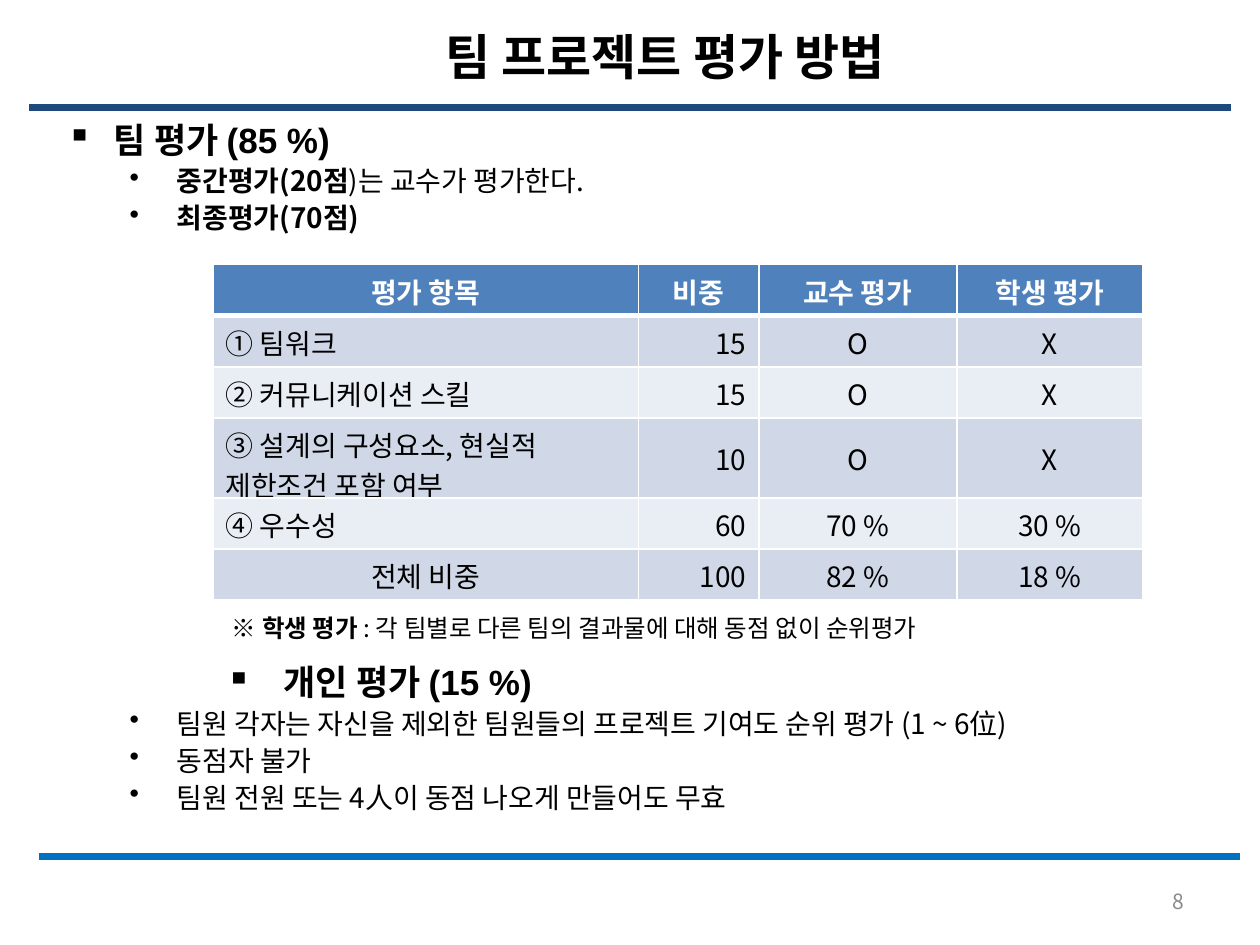
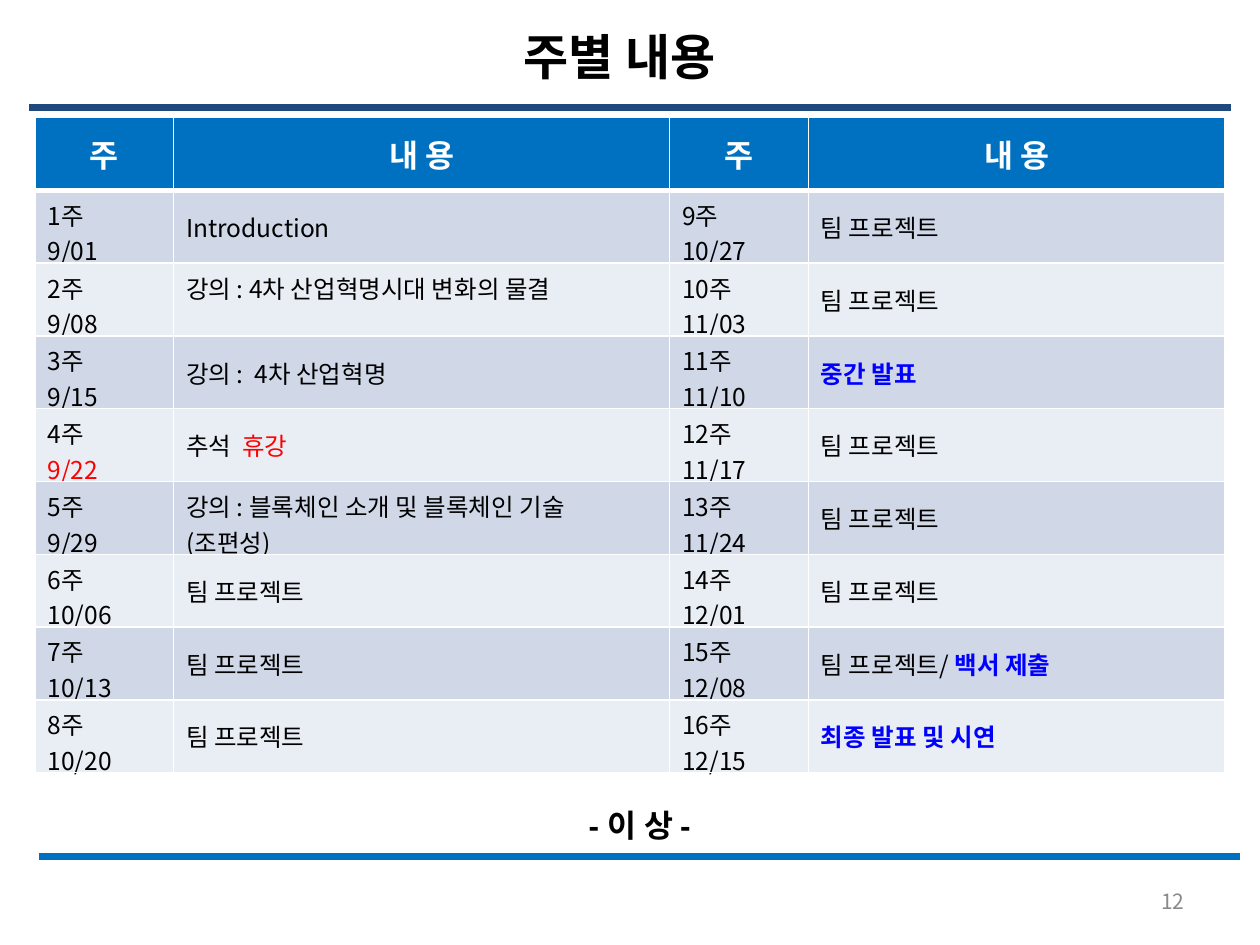
from lxml import etree
from pptx import Presentation
from pptx.dml.color import RGBColor
from pptx.enum.shapes import MSO_CONNECTOR
from pptx.enum.text import MSO_ANCHOR, PP_ALIGN
from pptx.oxml.ns import qn
from pptx.util import Pt

LEFT, CENTER, RIGHT = PP_ALIGN.LEFT, PP_ALIGN.CENTER, PP_ALIGN.RIGHT
TOP, MIDDLE = MSO_ANCHOR.TOP, MSO_ANCHOR.MIDDLE
STRAIGHT = MSO_CONNECTOR.STRAIGHT

ARIAL, NOTO = "Arial", "Noto Sans CJK KR"
BLACK, WHITE, GRAY = "000000", "FFFFFF", "898989"
NAVY, BLUE, HEADER_BLUE = "1F497D", "0070C0", "4F81BD"
BAND_COLORS = ("D0D8E8", "E9EDF4")
RED, BRIGHT_BLUE = "FF0000", "0000FF"

TEAM_TABLE = [
    ("평가 항목", "비중", "교수 평가", "학생 평가"),
    ("① 팀워크", "15", "O", "X"),
    ("② 커뮤니케이션 스킬", "15", "O", "X"),
    ("③ 설계의 구성요소, 현실적 제한조건 포함 여부", "10", "O", "X"),
    ("④ 우수성", "60", "70 %", "30 %"),
    ("전체 비중", "100", "82 %", "18 %"),
]

PROJECT = "팀 프로젝트"


def highlight(text):
    return (text, BRIGHT_BLUE, True)


# Each week: date, then the paragraphs of its content
WEEKS = [
    ("9/01", ["Introduction"]),
    ("9/08", ["강의 : 4차 산업혁명시대 변화의 물결"]),
    ("9/15", ["강의 :  4차 산업혁명"]),
    ([("9/22", RED, False)], [["추석  ", ("휴강", RED, False)]]),
    ("9/29", ["강의 : 블록체인 소개 및 블록체인 기술", "(조편성)"]),
    ("10/06", [PROJECT]),
    ("10/13", [PROJECT]),
    ("10/20", [PROJECT]),
    ("10/27", [PROJECT]),
    ("11/03", [PROJECT]),
    ("11/10", [[highlight("중간 발표")]]),
    ("11/17", [PROJECT]),
    ("11/24", [PROJECT]),
    ("12/01", [PROJECT]),
    ("12/08", [[PROJECT + "/ ", highlight("백서 제출")]]),
    ("12/15", [[highlight("최종 발표 및 시연")]]),
]


def rgb(color):
    return RGBColor.from_string(color)


def write_paragraph(paragraph, runs, size, font=NOTO, color=BLACK, bold=False,
                    align=LEFT, space_after=0):
    """Fill a paragraph from a string, or from strings and (text, color, bold) runs."""
    paragraph.alignment = align
    paragraph.space_after = Pt(space_after)
    paragraph.font.size = Pt(size)
    paragraph.font.bold = bold
    paragraph.font.color.rgb = rgb(color)
    paragraph.font.name = font
    defaults = paragraph._p.pPr.find(qn("a:defRPr"))
    etree.SubElement(defaults, qn("a:ea")).set("typeface", NOTO)
    for part in [runs] if isinstance(runs, str) else runs:
        run = paragraph.add_run()
        if isinstance(part, str):
            run.text = part
        else:
            run.text, run_color, run.font.bold = part
            run.font.color.rgb = rgb(run_color)


def write_paragraphs(text_frame, paragraphs, **style):
    for index, runs in enumerate(paragraphs):
        paragraph = text_frame.add_paragraph() if index else text_frame.paragraphs[0]
        write_paragraph(paragraph, runs, **style)


def add_text_frame(slide, left, top, width, height, anchor=TOP):
    text_frame = slide.shapes.add_textbox(
        Pt(left), Pt(top), Pt(width), Pt(height)).text_frame
    text_frame.word_wrap = True
    text_frame.vertical_anchor = anchor
    return text_frame


def set_bullet(paragraph, character, margin, hanging):
    properties = paragraph._p.get_or_add_pPr()
    properties.set("marL", str(Pt(margin)))
    properties.set("indent", str(-Pt(hanging)))
    bullet = etree.Element(qn("a:buChar"), char=character)
    properties.find(qn("a:defRPr")).addprevious(bullet)


def add_rule(slide, left, right, y, color):
    rule = slide.shapes.add_connector(STRAIGHT, Pt(left), Pt(y), Pt(right), Pt(y))
    rule.line.color.rgb = rgb(color)
    rule.line.width = Pt(4)
    etree.SubElement(rule._element.spPr, qn("a:effectLst"))


def add_frame(presentation, title, title_center, number):
    """Add a slide with its title, two rules and slide number."""
    slide = presentation.slides.add_slide(presentation.slide_layouts[6])
    add_rule(slide, 16.8, 703.2, 61.7, NAVY)
    add_rule(slide, 22.5, 708.7, 489.4, BLUE)
    number_frame = add_text_frame(slide, 516, 500.5, 168, 28.75, MIDDLE)
    write_paragraph(number_frame.paragraphs[0], number, 12, color=GRAY, align=RIGHT)
    title_width = 311
    title_frame = add_text_frame(
        slide, title_center - title_width / 2, 11.5, title_width, 41)
    write_paragraph(title_frame.paragraphs[0], title, 28, ARIAL, bold=True, align=CENTER)
    return slide


def set_borders(cell, bottom_width, top_width):
    properties = cell._tc.get_or_add_tcPr()
    widths = {"L": 1, "R": 1, "T": top_width, "B": bottom_width}
    for index, (side, width) in enumerate(widths.items()):
        border = etree.Element(qn(f"a:ln{side}"), w=str(Pt(width)))
        fill = etree.SubElement(border, qn("a:solidFill"))
        etree.SubElement(fill, qn("a:srgbClr"), val=WHITE)
        properties.insert(index, border)


def add_grid(slide, left, top, column_widths, row_heights, header_color):
    """Add a banded table without text and return it."""
    table = slide.shapes.add_table(
        len(row_heights), len(column_widths), Pt(left), Pt(top),
        Pt(sum(column_widths)), Pt(sum(row_heights))).table
    table.first_row = table.horz_banding = False
    for column, width in zip(table.columns, column_widths):
        column.width = Pt(width)
    for row_index, (row, height) in enumerate(zip(table.rows, row_heights)):
        row.height = Pt(height)
        color = BAND_COLORS[(row_index - 1) % 2] if row_index else header_color
        for cell in row.cells:
            cell.fill.solid()
            cell.fill.fore_color.rgb = rgb(color)
            set_borders(cell, 1 if row_index else 3, 3 if row_index == 1 else 1)
    return table


def add_team_table(slide, left, top):
    row_heights = [29.2, 29.2, 29.2, 45.7, 29.2, 29.2]
    table = add_grid(slide, left, top, [243, 69, 113, 106.5], row_heights, HEADER_BLUE)
    last_row = len(TEAM_TABLE) - 1
    for row, texts in enumerate(TEAM_TABLE):
        for column, text in enumerate(texts):
            cell = table.cell(row, column)
            if row and column:
                cell.vertical_anchor = MIDDLE
            align = CENTER
            if row and column == 1:
                align = RIGHT
            elif 0 < row < last_row and column == 0:
                align = LEFT
            write_paragraph(cell.text_frame.paragraphs[0], text, 16, align=align,
                            color=BLACK if row else WHITE, bold=row == 0)


def add_section(slide, left, top, height, heading, items, margin, hanging):
    """Add a square-bulleted heading with dotted items below it."""
    text_frame = add_text_frame(slide, left, top, 663, height)
    paragraph = text_frame.paragraphs[0]
    write_paragraph(paragraph, heading, 20, ARIAL, bold=True, space_after=2)
    set_bullet(paragraph, "▪", margin, hanging)
    for item in items:
        paragraph = text_frame.add_paragraph()
        write_paragraph(paragraph, item, 16, space_after=2)
        set_bullet(paragraph, "•", 63, 27)


def add_evaluation_slide(presentation):
    slide = add_frame(presentation, "팀 프로젝트 평가 방법", 380, "8")
    add_section(slide, 31, 64, 88, "팀 평가 (85 %)", [
        [("중간평가(20점", BLACK, True), ")는 교수가 평가한다."],
        [("최종평가(70점)", BLACK, True)],
    ], 27, 27)
    add_team_table(slide, 121.75, 151.2)
    note = add_text_frame(slide, 125.5, 347, 540, 27.5)
    write_paragraph(note.paragraphs[0], [
        "※ ", ("학생 평가 ", BLACK, True), ": 각 팀별로 다른 팀의 결과물에 대해 동점 없이 순위평가",
    ], 14)
    add_section(slide, 31, 374, 113, "개인 평가 (15 %)", [
        "팀원 각자는 자신을 제외한 팀원들의 프로젝트 기여도 순위 평가 (1 ~ 6位)",
        "동점자 불가",
        "팀원 전원 또는 4人이 동점 나오게 만들어도 무효",
    ], 124, 33)


def add_week_table(slide, left, top):
    half = len(WEEKS) // 2
    table = add_grid(slide, left, top, [79.2, 283.5, 79.2, 238.2],
                     [41.6] * (half + 1), BLUE)
    for column, text in enumerate(("주", "내 용") * 2):
        cell = table.cell(0, column)
        cell.vertical_anchor = MIDDLE
        write_paragraph(cell.text_frame.paragraphs[0], text, 18, color=WHITE,
                        bold=True, align=CENTER)
    for index, (date, content) in enumerate(WEEKS):
        row, column = index % half + 1, index // half * 2
        week_cell, content_cell = table.cell(row, column), table.cell(row, column + 1)
        write_paragraphs(week_cell.text_frame, [f"{index + 1}주", date], size=14)
        write_paragraphs(content_cell.text_frame, content, size=14)
        content_cell.vertical_anchor = TOP if index == 1 else MIDDLE


def add_schedule_slide(presentation):
    slide = add_frame(presentation, "주별 내용", 354, "12")
    add_week_table(slide, 20, 67.2)
    closing = add_text_frame(slide, 25.5, 457, 680, 29)
    write_paragraph(closing.paragraphs[0], "- 이 상 -", 18, ARIAL, bold=True, align=CENTER)


def main():
    presentation = Presentation()
    presentation.slide_width, presentation.slide_height = Pt(720), Pt(540)
    add_evaluation_slide(presentation)
    add_schedule_slide(presentation)
    presentation.save("out.pptx")


if __name__ == "__main__":
    main()
